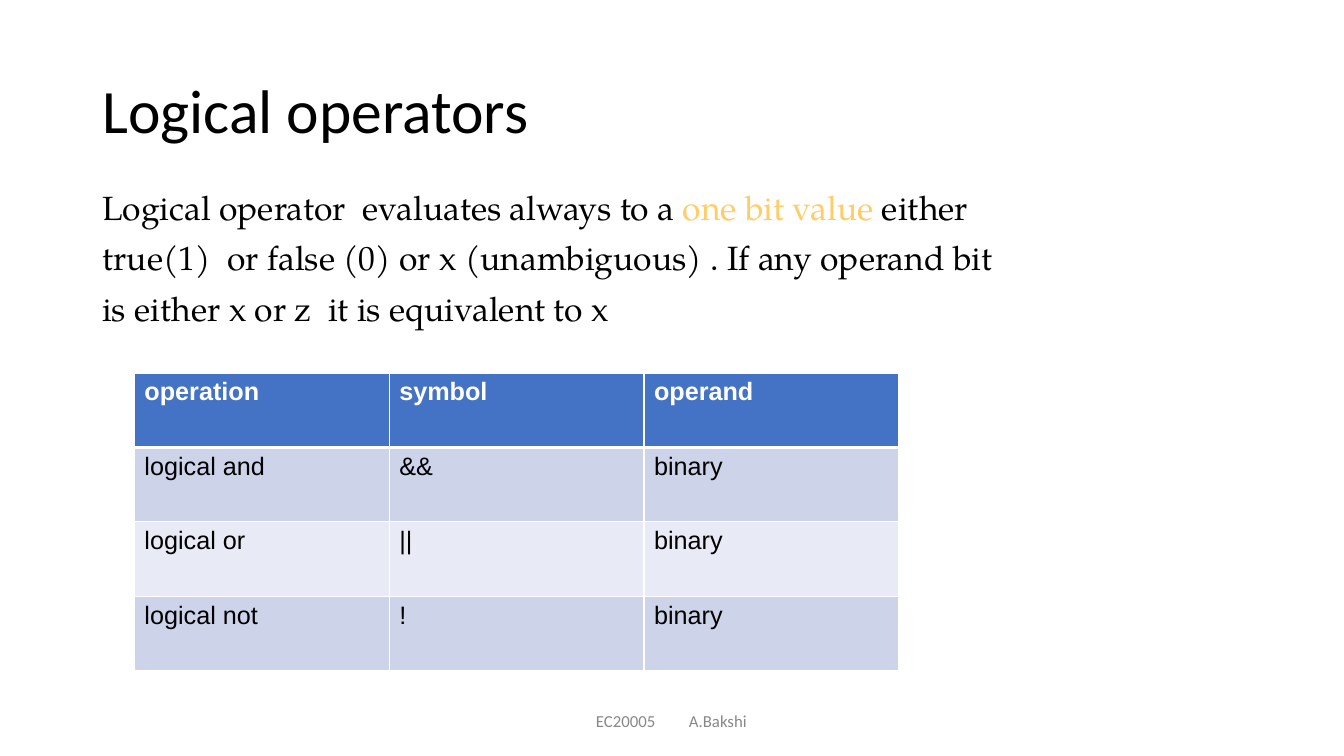
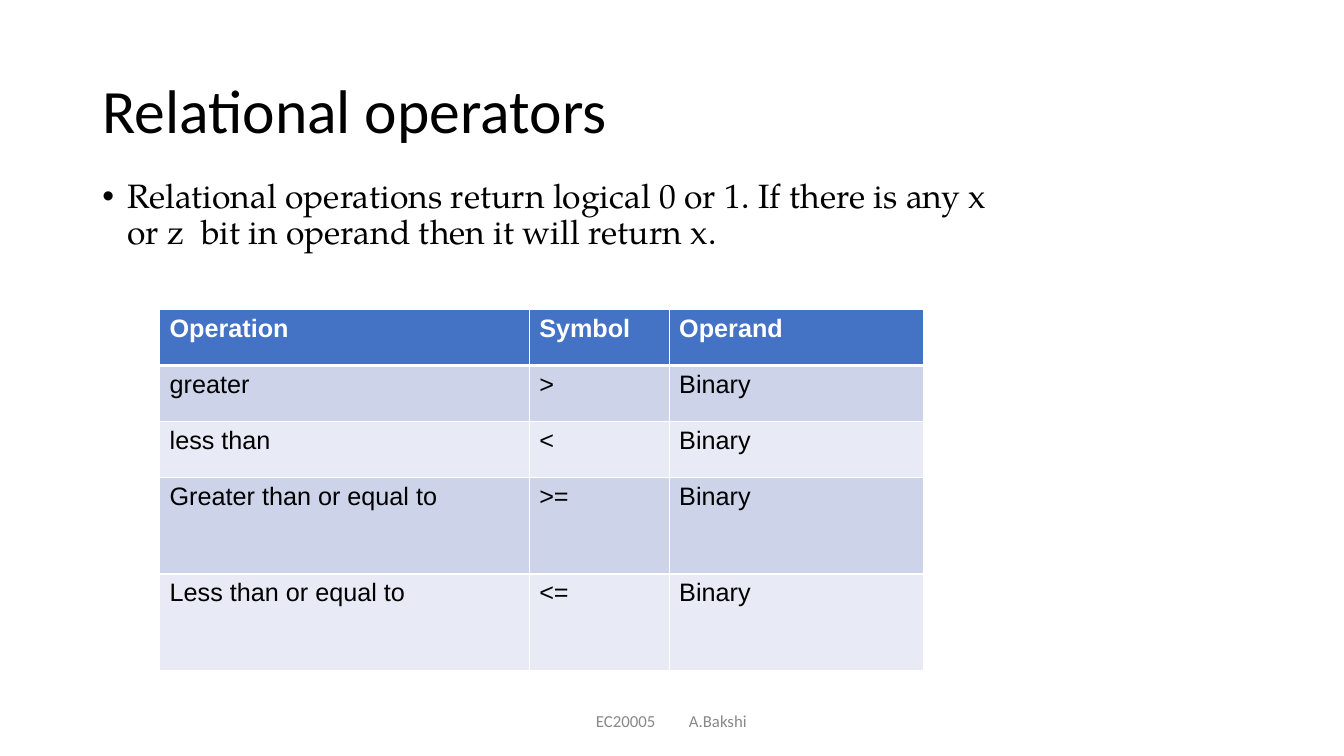
import collections
import dataclasses

import lxml.etree
import pptx
import pptx.dml.color
import pptx.enum.text
import pptx.oxml.ns
import pptx.util

Pt = pptx.util.Pt
ALIGN = pptx.enum.text.PP_ALIGN
ANCHOR = pptx.enum.text.MSO_ANCHOR
Box = collections.namedtuple("Box", "x y w h")


@dataclasses.dataclass(frozen=True)
class Theme:
    ink: str = "000000"
    paper: str = "FFFFFF"
    accent: str = "FFCC66"
    muted: str = "888888"
    header: str = "4472C4"
    bands: tuple = ("CDD4EA", "E8EBF5")
    head_font: str = "Calibri"
    body_font: str = "TeX Gyre Pagella"
    table_font: str = "Arial"
    title_size: int = 44
    body_size: int = 24
    table_size: int = 18
    footer_size: int = 12
    line_spacing: float = 0.9
    rule: int = 1
    header_rule: int = 3


THEME = Theme()
WIDTH, HEIGHT = 960, 540
TITLE_BOX = Box(66, 28.8, 828, 104.4)
FOOTER_BOX = Box(318, 500.5, 324, 29)


def rgb(color):
    return pptx.dml.color.RGBColor.from_string(color)


def child(parent, tag, **attrs):
    el = lxml.etree.SubElement(parent, pptx.oxml.ns.qn(tag))
    for name, value in attrs.items():
        el.set(name, str(value))
    return el


def add_run(p, text, font, size, color, bold=False):
    r = p.add_run()
    r.text = text
    r.font.name = font
    r.font.size = Pt(size)
    r.font.bold = bold
    r.font.color.rgb = rgb(color)


def add_text_box(s, box, anchor=ANCHOR.TOP):
    sp = s.shapes.add_textbox(*map(Pt, box))
    tf = sp.text_frame
    tf.word_wrap = True
    tf.vertical_anchor = anchor
    return tf


def add_title(s, box, text):
    p = add_text_box(s, box, ANCHOR.MIDDLE).paragraphs[0]
    p.line_spacing = THEME.line_spacing
    add_run(p, text, THEME.head_font, THEME.title_size, THEME.ink)


def add_bullet(p):
    pPr = p._p.get_or_add_pPr()
    pPr.set("marL", str(Pt(18)))
    pPr.set("indent", str(-Pt(18)))
    child(child(pPr, "a:buClr"), "a:srgbClr", val=THEME.ink)
    child(pPr, "a:buFont", typeface=THEME.table_font)
    child(pPr, "a:buChar", char="•")


def add_body(s, box, paragraphs, bulleted):
    tf = add_text_box(s, box)
    for i, runs in enumerate(paragraphs):
        p = tf.add_paragraph() if i else tf.paragraphs[0]
        if bulleted:
            add_bullet(p)
        p.line_spacing = THEME.line_spacing
        if i:
            p.space_before = Pt(10)
        for text, color in runs:
            add_run(p, text, THEME.body_font, THEME.body_size, color)


def add_footer(s, box, left, right):
    tf = add_text_box(s, box, ANCHOR.MIDDLE)
    tf.margin_left = Pt(107.7)
    p = tf.paragraphs[0]
    tabs = child(p._p.get_or_add_pPr(), "a:tabLst")
    child(tabs, "a:tab", pos=Pt(66.4), algn="l")
    p.alignment = ALIGN.LEFT
    add_run(p, f"{left}\t{right}", THEME.head_font, THEME.footer_size, THEME.muted)


def style_cell(cell, row):
    tcPr = cell._tc.get_or_add_tcPr()
    top = THEME.header_rule if row == 1 else THEME.rule
    bottom = THEME.header_rule if row == 0 else THEME.rule
    sides = {"L": THEME.rule, "R": THEME.rule, "T": top, "B": bottom}
    for side, width in sides.items():
        ln = child(tcPr, f"a:ln{side}", w=Pt(width))
        child(child(ln, "a:solidFill"), "a:srgbClr", val=THEME.paper)
    cell.fill.solid()
    cell.fill.fore_color.rgb = rgb(THEME.bands[(row - 1) % 2] if row else THEME.header)


def add_operator_table(s, x, y, widths, heights, rows):
    box = Box(x, y, sum(widths), sum(heights))
    table = s.shapes.add_table(len(rows), len(widths), *map(Pt, box)).table
    table.horz_banding = False
    for column, width in zip(table.columns, widths):
        column.width = Pt(width)
    for i, (height, texts) in enumerate(zip(heights, rows)):
        table.rows[i].height = Pt(height)
        for j, text in enumerate(texts):
            cell = table.cell(i, j)
            style_cell(cell, i)
            color = THEME.ink if i else THEME.paper
            add_run(cell.text_frame.paragraphs[0], text, THEME.table_font,
                    THEME.table_size, color, bold=i == 0)


def add_operator_slide(prs, title, body, table):
    s = prs.slides.add_slide(prs.slide_layouts[6])
    add_title(s, TITLE_BOX, title)
    add_body(s, **body)
    add_operator_table(s, **table)
    add_footer(s, FOOTER_BOX, "EC20005", "A.Bakshi")


def main():
    prs = pptx.Presentation()
    prs.slide_width, prs.slide_height = Pt(WIDTH), Pt(HEIGHT)
    ink = THEME.ink
    add_operator_slide(
        prs,
        "Logical operators",
        body=dict(
            box=Box(66, 133.2, 702, 390),
            bulleted=False,
            paragraphs=[
                [("Logical operator  evaluates always to a ", ink),
                 ("one bit value", THEME.accent), (" either", ink)],
                [("true(1)  or false (0) or x (unambiguous) . If any operand bit", ink)],
                [("is either x or z  it is equivalent to x", ink)],
            ],
        ),
        table=dict(
            x=96, y=266.4, widths=[182] * 3, heights=[53.2] * 4,
            rows=[
                ("operation", "symbol", "operand"),
                ("logical and", "&&", "binary"),
                ("logical or", "||", "binary"),
                ("logical not", "!", "binary"),
            ],
        ),
    )
    add_operator_slide(
        prs,
        "Relational operators",
        body=dict(
            box=Box(66, 124.6, 660, 373),
            bulleted=True,
            paragraphs=[
                [("Relational operations return logical 0 or 1. If there is any x "
                  "or z  bit in operand then it will return x.", ink)],
            ],
        ),
        table=dict(
            x=114, y=221, widths=[264, 100, 182], heights=[40] * 3 + [69] * 2,
            rows=[
                ("Operation", "Symbol", "Operand"),
                ("greater", ">", "Binary"),
                ("less than", "<", "Binary"),
                ("Greater than or equal to", ">=", "Binary"),
                ("Less than or equal to", "<=", "Binary"),
            ],
        ),
    )
    prs.save("out.pptx")


if __name__ == "__main__":
    main()
